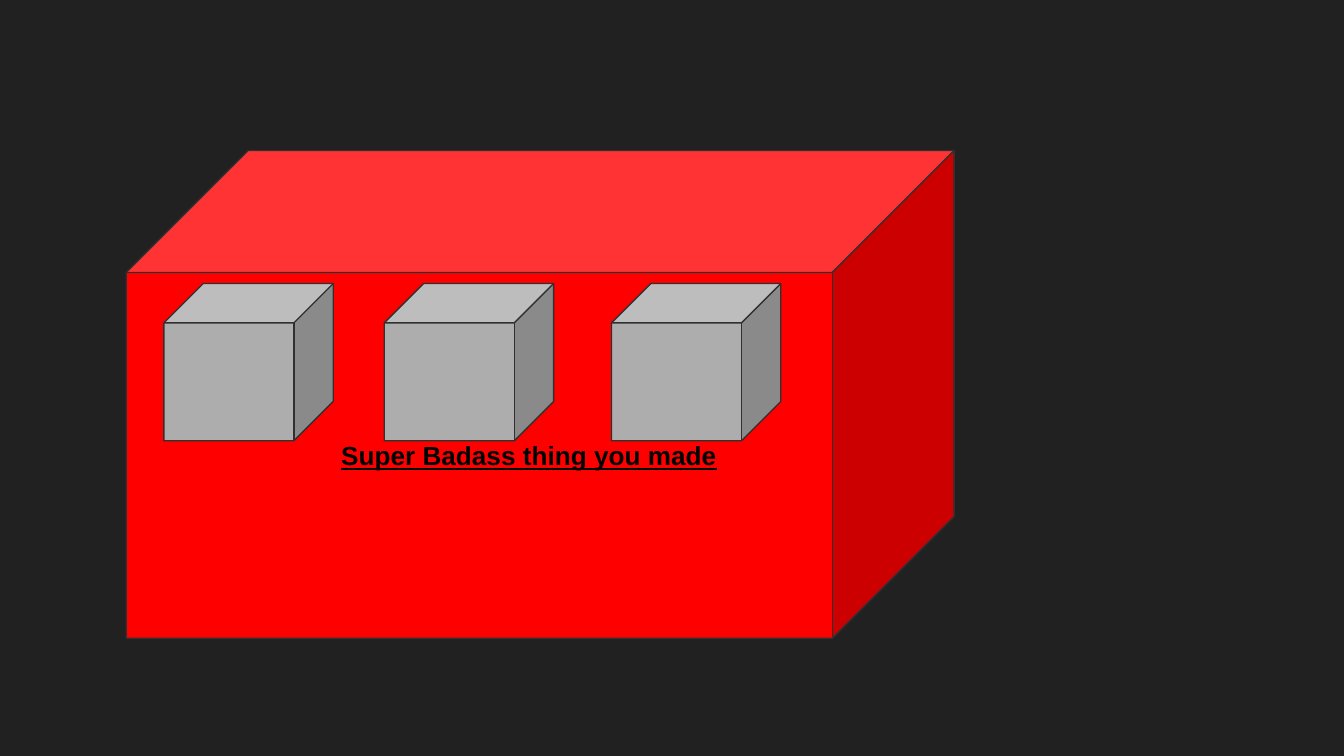
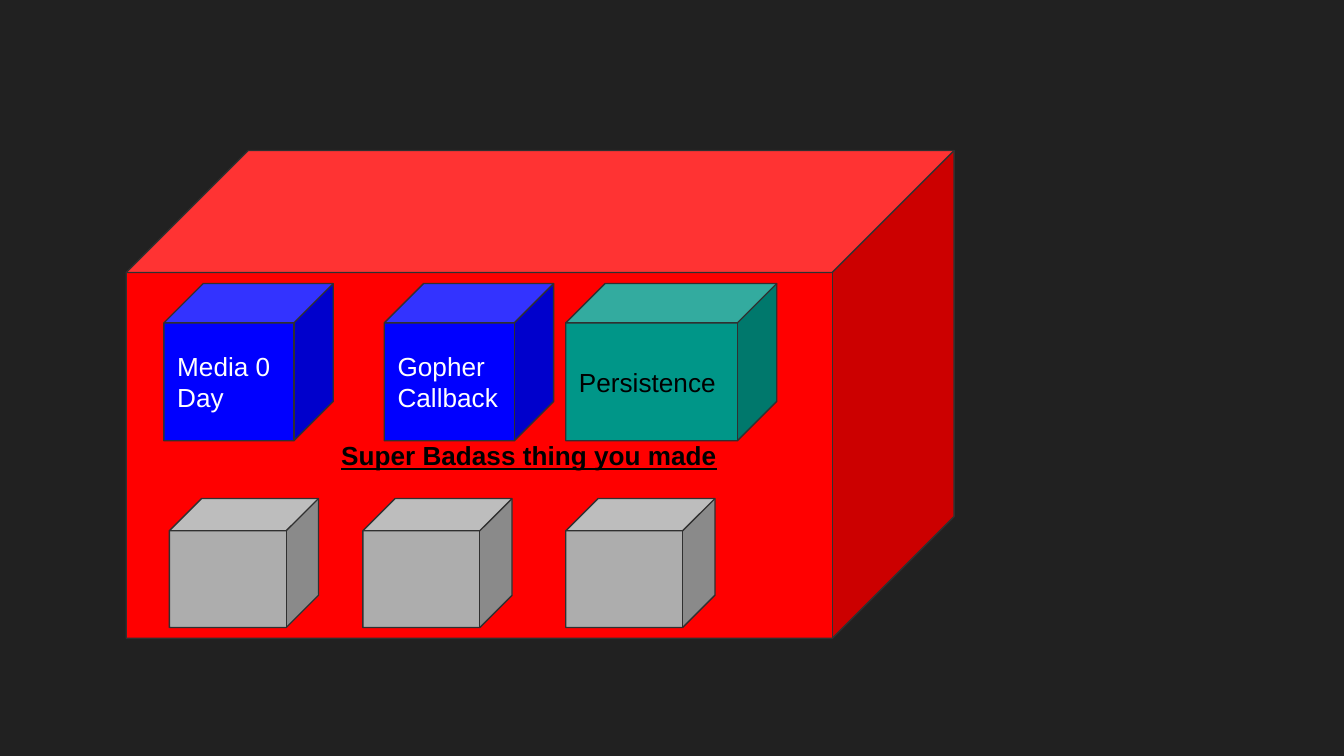
from pptx import Presentation
from pptx.dml.color import RGBColor
from pptx.enum.shapes import MSO_SHAPE
from pptx.enum.text import MSO_ANCHOR, PP_ALIGN
from pptx.util import Inches, Pt

BACKGROUND = RGBColor(0x21, 0x21, 0x21)
OUTLINE = RGBColor(0x30, 0x30, 0x30)
RED = RGBColor(0xFF, 0x00, 0x00)
GREY = RGBColor(0xAD, 0xAD, 0xAD)
BLUE = RGBColor(0x00, 0x00, 0xFF)
TEAL = RGBColor(0x00, 0x96, 0x88)
BLACK = RGBColor(0x00, 0x00, 0x00)
WHITE = RGBColor(0xFF, 0xFF, 0xFF)

SLIDE_WIDTH = Inches(10)
SLIDE_HEIGHT = SLIDE_WIDTH * 9 // 16
CELL = Inches(0.1)  # side of one grid column and row
MARGIN = Inches(0.1)

LABEL_FONT = {"name": "Arial", "size": Pt(14), "bold": False, "underline": False}
HEADING_FONT = {"bold": True, "underline": True}
FRAME_FORMAT = {
    "word_wrap": True,
    "vertical_anchor": MSO_ANCHOR.MIDDLE,
    "margin_left": MARGIN,
    "margin_right": MARGIN,
    "margin_top": MARGIN,
    "margin_bottom": MARGIN,
}

UPPER_ROW = 21.1
LOWER_ROW = 37.1
UPPER_SIZE = (12.6, 11.7)
WIDE_SIZE = (15.7, 11.7)
LOWER_SIZE = (11.1, 9.6)


def apply_format(target, values):
    for name, value in values.items():
        setattr(target, name, value)


class Deck:
    """Holds the shared style and the slide being filled."""

    def __init__(self):
        self.presentation = Presentation()
        self.presentation.slide_width = SLIDE_WIDTH
        self.presentation.slide_height = SLIDE_HEIGHT
        fill = self.presentation.slide_master.background.fill
        fill.solid()
        fill.fore_color.rgb = BACKGROUND
        self.slide = None

    def add_slide(self):
        blank_layout = self.presentation.slide_layouts[6]
        self.slide = self.presentation.slides.add_slide(blank_layout)

    def cube(self, column, row, size, color):
        """Add a cube; its place and size are in grid cells."""
        box = [round(cells * CELL) for cells in (column, row, *size)]
        shape = self.slide.shapes.add_shape(MSO_SHAPE.CUBE, *box)
        shape.adjustments[0] = 0.25
        shape.shadow.inherit = False
        shape.fill.solid()
        shape.fill.fore_color.rgb = color
        shape.line.color.rgb = OUTLINE
        shape.line.width = Pt(0.75)
        return shape

    def label(self, shape, lines, color, font=None):
        """Write one paragraph per line and return the paragraphs."""
        frame = shape.text_frame
        apply_format(frame, FRAME_FORMAT)
        frame.text = "\n".join(lines)
        for paragraph in frame.paragraphs:
            paragraph.alignment = PP_ALIGN.LEFT
            apply_format(paragraph.font, LABEL_FONT | (font or {}))
            paragraph.font.color.rgb = color
        return frame.paragraphs

    def container(self):
        """Add the large red cube with its indented heading."""
        shape = self.cube(9.4, 11.2, (61.6, 36.3), RED)
        heading = self.label(shape, ["Super Badass thing you made"], BLACK, HEADING_FONT)[0]
        properties = heading._p.get_or_add_pPr()
        properties.set("marL", str(Inches(1)))
        properties.set("indent", str(Inches(0.5)))

    def empty_cubes(self, columns, row, size):
        for column in columns:
            self.cube(column, row, size, GREY)


def main():
    deck = Deck()

    deck.add_slide()
    deck.container()
    deck.empty_cubes((12.2, 28.6, 45.5), UPPER_ROW, UPPER_SIZE)

    deck.add_slide()
    deck.container()
    parts = [
        (12.2, UPPER_SIZE, BLUE, ["Media 0 Day"], WHITE),
        (28.6, UPPER_SIZE, BLUE, ["Gopher", "Callback"], WHITE),
        (42.1, WIDE_SIZE, TEAL, ["Persistence"], BLACK),
    ]
    for column, size, color, lines, text_color in parts:
        deck.label(deck.cube(column, UPPER_ROW, size, color), lines, text_color)
    deck.empty_cubes((12.6, 27, 42.1), LOWER_ROW, LOWER_SIZE)

    deck.presentation.save("out.pptx")


if __name__ == "__main__":
    main()
